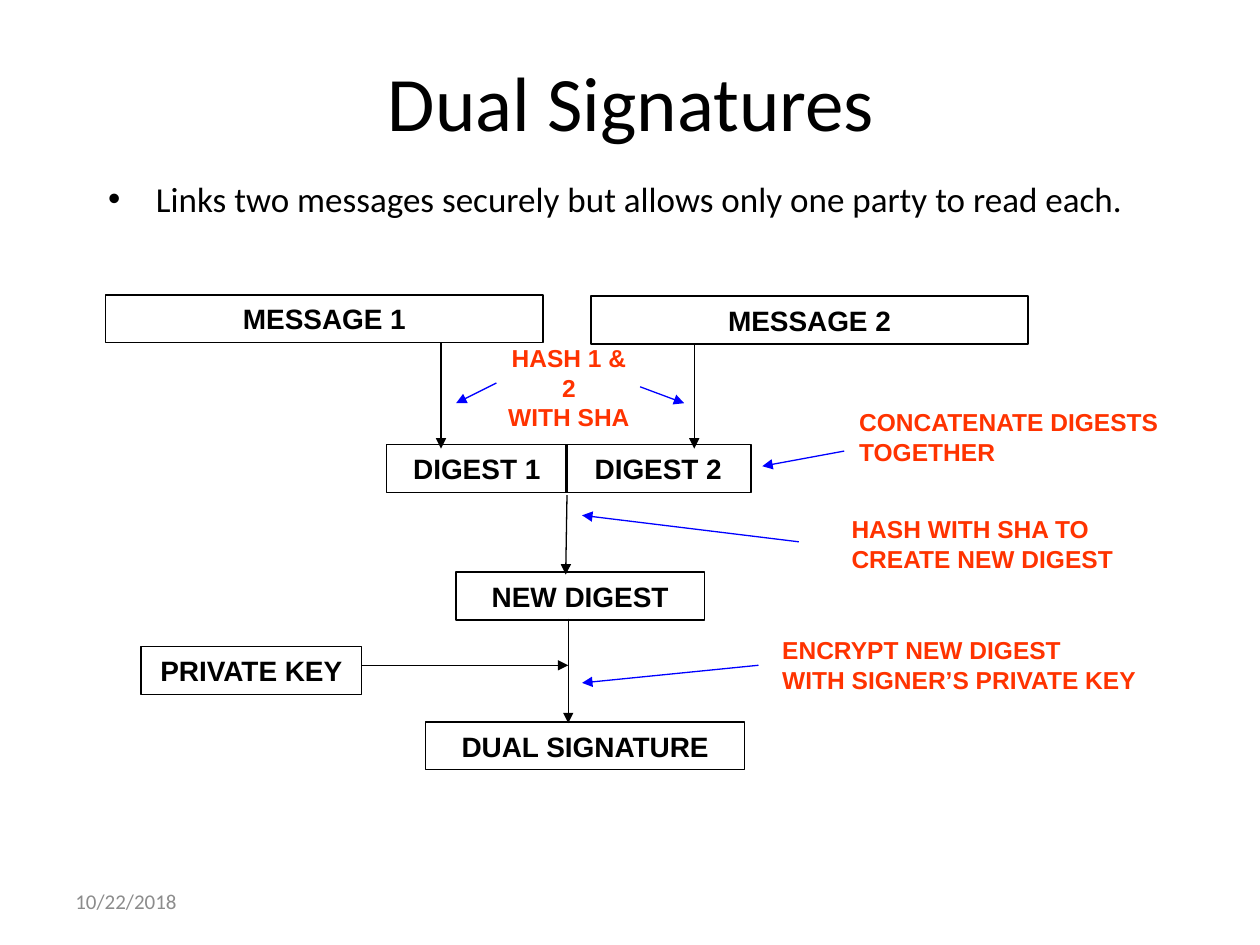
from typing import NamedTuple

from lxml import etree
from pptx import Presentation
from pptx import util as u
from pptx.dml.color import RGBColor
from pptx.enum import shapes, text
from pptx.oxml.ns import qn

BLACK = RGBColor(0x00, 0x00, 0x00)
BLUE = RGBColor(0x00, 0x00, 0xFF)
RED = RGBColor(0xFF, 0x33, 0x00)
GRAY = RGBColor(0x8C, 0x8C, 0x8C)

LEFT, CENTER = text.PP_ALIGN.LEFT, text.PP_ALIGN.CENTER
MIDDLE, TOP = text.MSO_ANCHOR.MIDDLE, text.MSO_ANCHOR.TOP
BOX_HEIGHT = 0.38
NOTE_HEIGHT = 0.57


class Style(NamedTuple):
    font: str
    size: int
    color: RGBColor
    bold: bool = False


class Box(NamedTuple):
    label: str
    left: float
    top: float
    width: float


class Note(NamedTuple):
    lines: tuple[str, ...]
    left: float
    top: float
    width: float
    align: text.PP_ALIGN = LEFT
    wrap: bool = False


class Arrow(NamedTuple):
    x1: float
    y1: float
    x2: float
    y2: float
    color: RGBColor = BLACK


TITLE = Style("Calibri", 44, BLACK)
BODY = Style("Calibri", 20, BLACK)
DATE = Style("Calibri", 12, GRAY)
BOX = Style("Arial", 16, BLACK, True)
NOTE = Style("Arial", 14, RED, True)

BOXES = [
    Box("MESSAGE 1", 0.84, 2.34, 3.47),
    Box("MESSAGE 2", 4.69, 2.35, 3.47),
    Box("DIGEST 1", 3.07, 3.53, 1.43),
    Box("DIGEST 2", 4.49, 3.53, 1.47),
    Box("NEW DIGEST", 3.62, 4.54, 1.97),
    Box("PRIVATE KEY", 1.12, 5.13, 1.75),
    Box("DUAL SIGNATURE", 3.38, 5.73, 2.53),
]

NOTES = [
    Note(("HASH 1 & 2", "WITH SHA"), 3.89, 2.79, 1.25, CENTER, True),
    Note(("CONCATENATE DIGESTS", "TOGETHER"), 6.72, 3.18, 2.6),
    Note(("HASH WITH SHA TO", "CREATE NEW DIGEST"), 6.66, 4.03, 2.29),
    Note(("ENCRYPT NEW DIGEST", "WITH SIGNER’S PRIVATE KEY"), 6.11, 4.99, 3.03),
]

ARROWS = [
    # Flow between the boxes
    Arrow(3.5, 2.72, 3.5, 3.56),
    Arrow(5.51, 2.74, 5.51, 3.56),
    Arrow(4.5, 3.93, 4.49, 4.56),
    Arrow(4.51, 4.91, 4.51, 5.74),
    Arrow(2.87, 5.28, 4.51, 5.28),
    # Pointers from the notes
    Arrow(3.94, 3.04, 3.62, 3.2, BLUE),
    Arrow(5.08, 3.07, 5.43, 3.2, BLUE),
    Arrow(6.7, 3.58, 6.05, 3.7, BLUE),
    Arrow(6.34, 4.3, 4.62, 4.09, BLUE),
    Arrow(6.02, 5.28, 4.62, 5.42, BLUE),
]


def write(sp, lines: tuple[str, ...], style: Style, align=LEFT,
          anchor=MIDDLE, wrap: bool = True) -> None:
    tf = sp.text_frame
    tf.word_wrap = wrap
    tf.vertical_anchor = anchor
    for i, line in enumerate(lines):
        p = tf.add_paragraph() if i else tf.paragraphs[0]
        p.alignment = align
        r = p.add_run()
        r.text = line
        r.font.name = style.font
        r.font.size = u.Pt(style.size)
        r.font.bold = style.bold
        r.font.color.rgb = style.color


def add_text(s, left: float, top: float, width: float, height: float,
             lines: tuple[str, ...], style: Style, **layout):
    sp = s.shapes.add_textbox(u.Inches(left), u.Inches(top),
                              u.Inches(width), u.Inches(height))
    write(sp, lines, style, **layout)
    return sp


def add_bullet(p) -> None:
    p.space_before = u.Pt(4)
    pPr = p._p.get_or_add_pPr()
    pPr.set("marL", str(u.Inches(0.38)))
    pPr.set("indent", str(-u.Inches(0.38)))
    etree.SubElement(pPr, qn("a:buFont")).set("typeface", "Arial")
    etree.SubElement(pPr, qn("a:buChar")).set("char", "•")


def add_box(s, box: Box) -> None:
    sp = s.shapes.add_shape(
        shapes.MSO_SHAPE.RECTANGLE, u.Inches(box.left), u.Inches(box.top),
        u.Inches(box.width), u.Inches(BOX_HEIGHT))
    sp.shadow.inherit = False
    sp.fill.background()
    sp.line.color.rgb = BLACK
    sp.line.width = u.Pt(0.75)
    write(sp, (box.label,), BOX, CENTER)


def add_arrow(s, arrow: Arrow) -> None:
    line = s.shapes.add_connector(
        shapes.MSO_CONNECTOR.STRAIGHT, u.Inches(arrow.x1), u.Inches(arrow.y1),
        u.Inches(arrow.x2), u.Inches(arrow.y2))
    line.line.color.rgb = arrow.color
    line.line.width = u.Pt(0.75)
    ln = line.line._get_or_add_ln()
    etree.SubElement(ln, qn("a:tailEnd")).set("type", "triangle")
    etree.SubElement(line._element.spPr, qn("a:effectLst"))


def main() -> None:
    prs = Presentation()
    prs.slide_width, prs.slide_height = u.Inches(10), u.Inches(7.5)
    s = prs.slides.add_slide(prs.slide_layouts[6])

    # Date, title and bullet
    add_text(s, 0.5, 6.95, 2.33, 0.4, ("10/22/2018",), DATE)
    add_text(s, 0.76, 0.17, 8.5, 1.25, ("Dual Signatures",), TITLE, align=CENTER)
    body = add_text(
        s, 0.76, 1.36, 8.5, 4.75,
        ("Links two messages securely but allows only one party to read each.",),
        BODY, anchor=TOP)
    add_bullet(body.text_frame.paragraphs[0])

    # Diagram
    for box in BOXES:
        add_box(s, box)
    for note in NOTES:
        add_text(s, note.left, note.top, note.width, NOTE_HEIGHT, note.lines,
                 NOTE, align=note.align, wrap=note.wrap)
    for arrow in ARROWS:
        add_arrow(s, arrow)

    prs.save("out.pptx")


if __name__ == "__main__":
    main()
